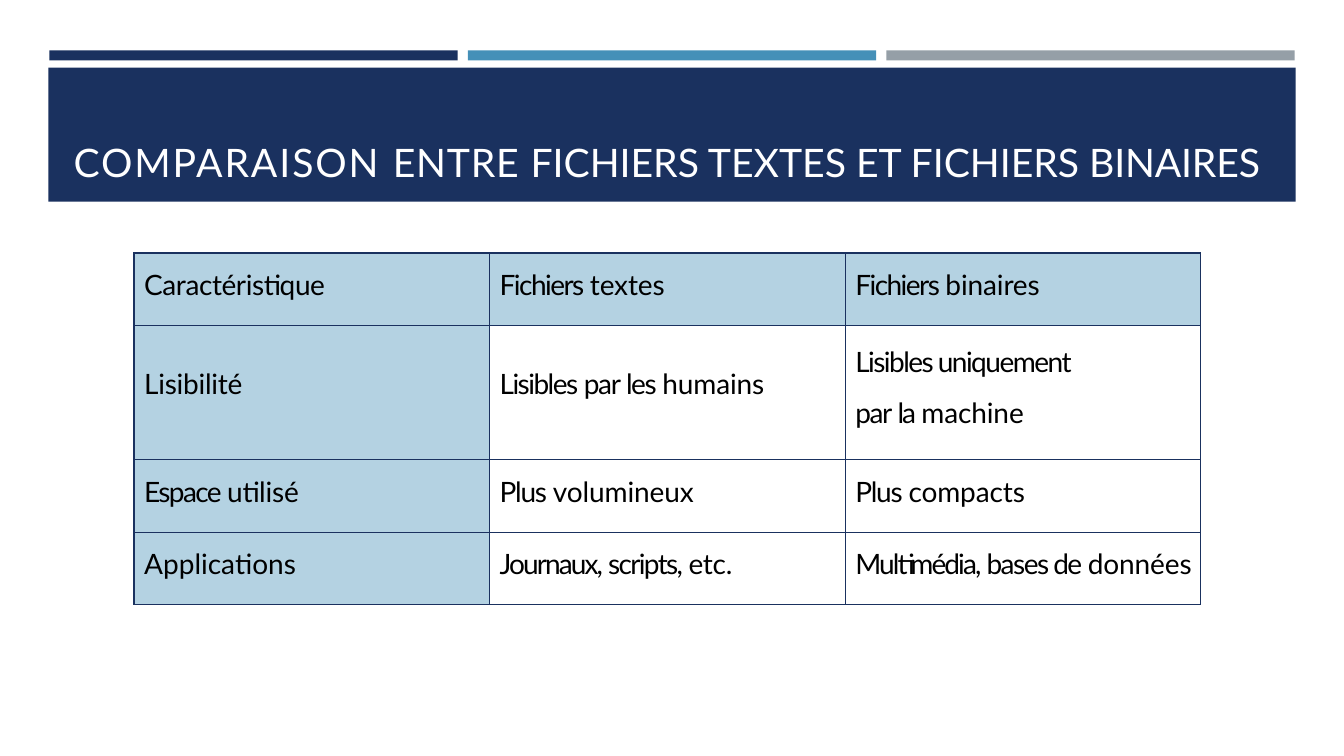
"""Build the slide comparing text files with binary files."""
from dataclasses import dataclass

from lxml import etree
from pptx import Presentation
from pptx.dml.color import RGBColor
from pptx.enum.shapes import MSO_SHAPE
from pptx.enum.text import MSO_ANCHOR, MSO_AUTO_SIZE, PP_ALIGN
from pptx.oxml.ns import qn
from pptx.util import Inches, Pt

RECT = MSO_SHAPE.RECTANGLE
TOP = MSO_ANCHOR.TOP
NO_FIT = MSO_AUTO_SIZE.NONE
LEFT = PP_ALIGN.LEFT


@dataclass(frozen=True)
class Theme:
    """Colours, font and type sizes."""
    navy: str = "1A315F"
    blue: str = "4590B8"
    grey: str = "959FA7"
    pale: str = "B4D2E2"
    white: str = "FFFFFF"
    black: str = "000000"
    font: str = "Lato"
    title: int = 28
    body: int = 20


TITLE = [("COMPARAISON ", 1.4), ("ENTRE ", 0.6),
         ("FICHIERS TEXTES ET FICHIERS ", 0), ("BINAIRES", -0.1)]
ROWS = [
    [[("Caractéristique", -0.3)],
     [("Fichiers ", -1.1), ("textes", -0.1)],
     [("Fichiers ", -1.1), ("binaires", -0.1)]],
    [[("Lisibilité", -0.2)],
     [("Lisibles ", -1.1), ("par ", -1), ("les ", -1.1), ("humains", -0.1)],
     [("Lisibles uniquement ", -1.1), ("par ", -1), ("la ", -1.4),
      ("machine", -0.1)]],
    [[("Espace ", -1.2), ("utilisé", -0.1)],
     [("Plus ", -0.9), ("volumineux", -0.1)],
     [("Plus ", -0.9), ("compacts", -0.1)]],
    [[("Applications", 0)],
     [("Journaux, ", -1.4), ("scripts, ", -1.2), ("etc.", -0.2)],
     [("Multimédia, ", -1.4), ("bases de ", -1.1), ("données", -0.1)]],
]
ROW_HEIGHTS = [0.72, 1.33, 0.72, 0.72]


class Builder:
    """Draws styled elements on the current slide."""

    def __init__(self, s, theme):
        self.s = s
        self.theme = theme

    def paint(self, fill, color):
        """Apply a solid colour."""
        fill.solid()
        fill.fore_color.rgb = RGBColor.from_string(color)

    def add_text(self, p, runs, size, color):
        """Put letter-spaced runs into a paragraph."""
        p.alignment = LEFT
        p.font.name = self.theme.font
        p.font.size = Pt(size)
        p.font.color.rgb = RGBColor.from_string(color)
        for text, spacing in runs:
            r = p.add_run()
            r.text = text
            r.font._element.set("spc", str(round(spacing * 100)))

    def bar(self, x, y, w, h, color):
        """Add a plain coloured bar."""
        sp = self.s.shapes.add_shape(
            RECT, Inches(x), Inches(y), Inches(w), Inches(h))
        sp.shadow.inherit = False
        self.paint(sp.fill, color)
        sp.line.fill.background()

    def title(self, runs, x, y, w, h):
        """Format and fill the title placeholder."""
        sp = self.s.shapes.title
        sp.left, sp.top = Inches(x), Inches(y)
        sp.width, sp.height = Inches(w), Inches(h)
        self.paint(sp.fill, self.theme.navy)
        tf = sp.text_frame
        tf.word_wrap = True
        tf.auto_size = NO_FIT
        tf.vertical_anchor = TOP
        tf.margin_left, tf.margin_top = Inches(0.25), Inches(0.7)
        tf.margin_right = tf.margin_bottom = 0
        self.add_text(tf.paragraphs[0], runs, self.theme.title,
                      self.theme.white)

    def border(self, cell):
        """Outline a cell on all four sides."""
        tc_pr = cell._tc.get_or_add_tcPr()
        for i, side in enumerate(("a:lnL", "a:lnR", "a:lnT", "a:lnB")):
            ln = etree.Element(qn(side), w=str(Pt(1)))
            fill = etree.SubElement(ln, qn("a:solidFill"))
            etree.SubElement(fill, qn("a:srgbClr"), val=self.theme.navy)
            tc_pr.insert(i, ln)

    def table(self, rows, heights, x, y, w):
        """Add a table with a shaded header row and first column."""
        table = self.s.shapes.add_table(
            len(rows), len(rows[0]), Inches(x), Inches(y), Inches(w),
            Inches(sum(heights))).table
        table.first_row = table.horz_banding = False
        for i, (row, height) in enumerate(zip(rows, heights)):
            table.rows[i].height = Inches(height)
            for j, runs in enumerate(row):
                cell = table.cell(i, j)
                cell.vertical_anchor = TOP
                cell.margin_left, cell.margin_top = Inches(0.1), Inches(0.15)
                cell.margin_right = cell.margin_bottom = 0
                if i == 0 or j == 0:
                    self.paint(cell.fill, self.theme.pale)
                else:
                    cell.fill.background()
                self.border(cell)
                self.add_text(cell.text_frame.paragraphs[0], runs,
                              self.theme.body, self.theme.black)
        return table


def main():
    """Create the presentation."""
    prs = Presentation()
    prs.slide_width, prs.slide_height = Inches(13.33), Inches(7.5)
    theme = Theme()
    b = Builder(prs.slides.add_slide(prs.slide_layouts[5]), theme)
    for i, color in enumerate((theme.navy, theme.blue, theme.grey)):
        b.bar(0.49 + 4.15 * i, 0.5, 4.05, 0.1, color)
    b.title(TITLE, 0.48, 0.67, 12.37, 1.33)
    table = b.table(ROWS, ROW_HEIGHTS, 1.33, 2.51, 10.58)
    for j in (0, 1):
        table.cell(1, j).margin_top = Inches(0.41)
    machine = table.cell(1, 2)
    machine.margin_top, machine.margin_right = Inches(0.03), Inches(1.1)
    machine.text_frame.paragraphs[0].line_spacing = Pt(36)
    prs.save("out.pptx")


if __name__ == "__main__":
    main()
